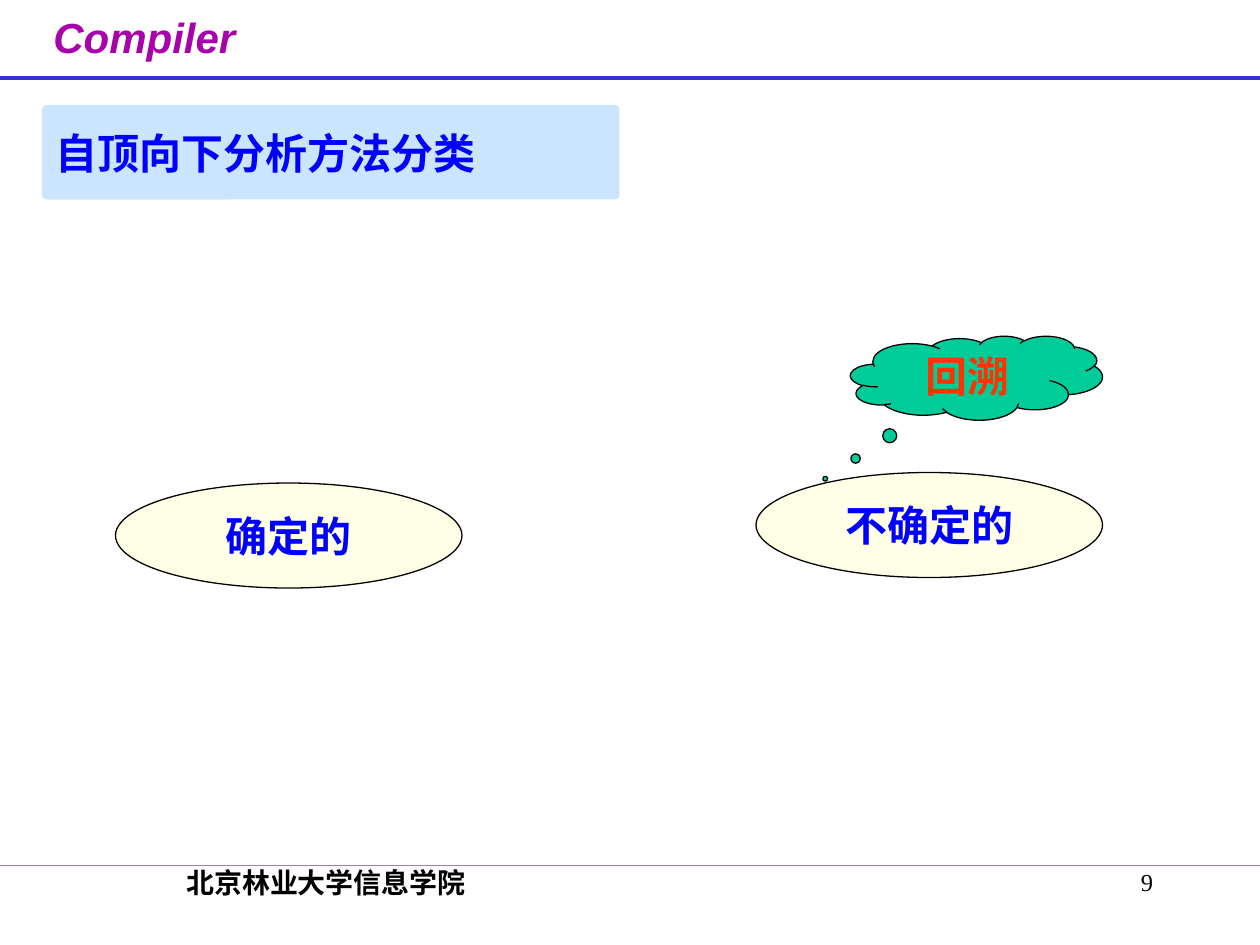
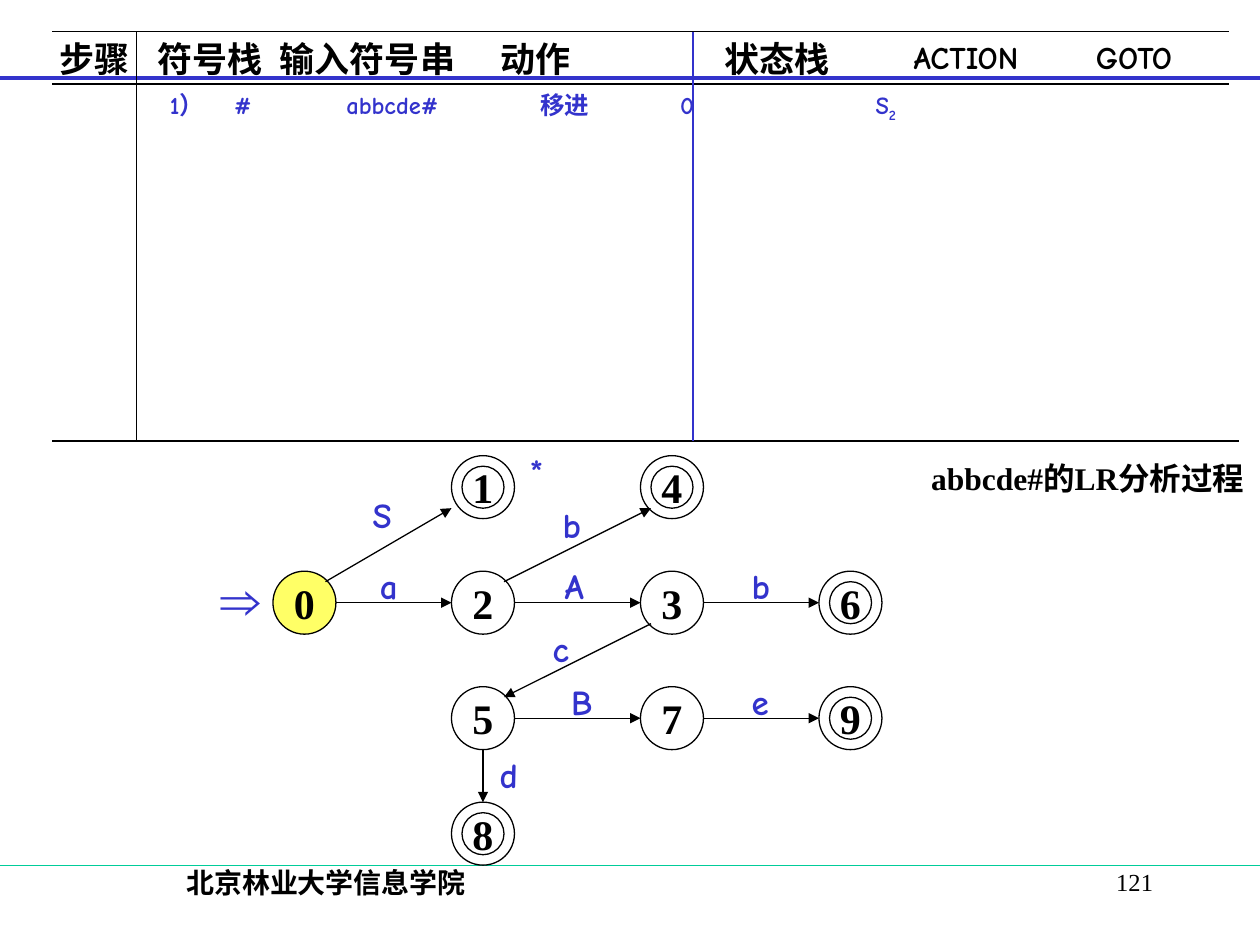
from lxml import etree
from pptx import Presentation
from pptx.dml.color import RGBColor
from pptx.enum.shapes import MSO_CONNECTOR, MSO_SHAPE
from pptx.enum.text import MSO_ANCHOR, PP_ALIGN
from pptx.oxml.ns import qn
from pptx.util import Inches, Pt

STRAIGHT = MSO_CONNECTOR.STRAIGHT
OVAL, ROUNDED, CLOUD = MSO_SHAPE.OVAL, MSO_SHAPE.ROUNDED_RECTANGLE, MSO_SHAPE.CLOUD_CALLOUT
TOP, MIDDLE = MSO_ANCHOR.TOP, MSO_ANCHOR.MIDDLE
LEFT, CENTER, RIGHT = PP_ALIGN.LEFT, PP_ALIGN.CENTER, PP_ALIGN.RIGHT

SERIF, SANS, COMIC, CJK = "Times New Roman", "Arial", "Comic Neue", "Noto Sans CJK SC"
BLACK, INDIGO, GREEN, BLUE = "000000", "3333CC", "00CC99", "0000FF"
PURPLE, RED, SKY, CREAM, YELLOW = "A603AB", "FF3300", "99CCFF", "FFFFE7", "FFFF66"
rgb = RGBColor.from_string

prs = Presentation()
prs.slide_width, prs.slide_height = Inches(10), Inches(7.5)
U = prs.slide_width / 120  # grid unit: the slide is 120 columns by 90 rows


def add_text(s, box, text, fmt, kind=None, fill=None, line=None, align=CENTER, wrap=True):
    """Put text in a text box, or in a preset shape when a kind is given."""
    box = [round(v * U) for v in box]
    if kind is None:
        sp = s.shapes.add_textbox(*box)
    else:
        sp = s.shapes.add_shape(kind, *box)
        sp.shadow.inherit = False
        if fill:
            sp.fill.solid()
            sp.fill.fore_color.rgb = rgb(fill)
        else:
            sp.fill.background()
        if line:
            sp.line.color.rgb, sp.line.width = rgb(line), Pt(0.75)
        else:
            sp.line.fill.background()
    tf = sp.text_frame
    tf.word_wrap = wrap
    tf.vertical_anchor = MIDDLE if kind else TOP
    p = tf.paragraphs[0]
    p.alignment = align
    if text:
        r = p.add_run()
        r.text = text
        for name, value in fmt.items():
            if name == "color":
                r.font.color.rgb = rgb(value)
            else:
                setattr(r.font, name, value)
        etree.SubElement(r._r.get_or_add_rPr(), qn("a:ea"), typeface=CJK)
    return sp


def add_line(s, x1, y1, x2, y2, color=BLACK, width=0.75, arrow=False):
    c = s.shapes.add_connector(STRAIGHT, *[round(v * U) for v in (x1, y1, x2, y2)])
    c.line.color.rgb, c.line.width = rgb(color), Pt(width)
    if arrow:
        etree.SubElement(c.line._get_or_add_ln(), qn("a:tailEnd"), type="triangle")
    etree.SubElement(c._element.spPr, qn("a:effectLst"))


# Text formats
footer = dict(name=SERIF, size=Pt(16), bold=True, color=BLACK)
page = dict(name=SERIF, size=Pt(14), color=BLACK)
brand = dict(name=SANS, size=Pt(24), bold=True, italic=True, color=PURPLE)
title = dict(name=CJK, size=Pt(24), bold=True, color=BLUE)
method = dict(title, name=SERIF)
state = dict(method, color=BLACK)
head = dict(state, size=Pt(20))
caption = dict(head, size=Pt(18))
symbol_head = dict(caption, name=COMIC)
edge = dict(name=COMIC, size=Pt(20), bold=True, color=INDIGO)
step = dict(edge, size=Pt(14))
start = dict(edge, name=SANS, size=Pt(32))

# Shared rules, footer and page number
slides = []
for number in ("9", "121"):
    s = prs.slides.add_slide(prs.slide_layouts[6])
    add_line(s, 0, 7.4, 120, 7.4, INDIGO, 2.25)
    add_line(s, 0, 82.4, 120, 82.4, GREEN)
    add_text(s, (6.2, 81.8, 49.7, 6), "北京林业大学信息学院", footer)
    add_text(s, (86, 82, 25, 6), number, page, align=RIGHT)
    slides.append(s)
methods, parsing = slides

# Slide 1: kinds of top-down analysis
s = methods
add_text(s, (2.3, 0.5, 22.9, 7.4), "Compiler", brand, wrap=False)
sp = add_text(s, (4, 10, 55, 9), "自顶向下分析方法分类", title, ROUNDED, SKY, align=LEFT)
sp.adjustments[0] = 0.05
sky = sp._element.spPr.find(qn("a:solidFill"))[0]
etree.SubElement(sky, qn("a:alpha"), val="50000")
for x, y, text in ((11, 46, "确定的"), (72, 45, "不确定的")):
    add_text(s, (x, y, 33, 10), text, method, OVAL, CREAM, BLACK, wrap=False)
sp = add_text(s, (81, 32, 24, 8), "回溯", dict(method, color=RED), CLOUD, GREEN, BLACK)
sp.adjustments[0], sp.adjustments[1] = -0.6, 1.2

# Slide 2: ruled step table
s = parsing
for y, right in ((3, 117), (8, 117), (42, 118)):
    add_line(s, 5, y, right, y)
for x, color in ((13, BLACK), (66, INDIGO)):
    add_line(s, x, 3, x, 42, color)
for x, width, text, fmt in (
    (4, 10, "步骤", head), (13, 14, "符号栈", head), (25, 20, "输入符号串", head),
    (46, 10, "动作", head), (67, 14, "状态栈", head),
    (84, 16, "ACTION", symbol_head), (101, 14, "GOTO", symbol_head),
):
    add_text(s, (x, 3, width, 5.2), text, fmt)

# First step, set on tab stops
sp = add_text(s, (15, 8, 76.5, 4.4), "1）\t#\tabbcde#\t移进\t0\tS", step, align=LEFT)
p = sp.text_frame.paragraphs[0]
tabs = etree.SubElement(p._p.get_or_add_pPr(), qn("a:tabLst"))
for stop in (0.51, 1.4, 2.94, 4.05, 5.6):
    etree.SubElement(tabs, qn("a:tab"), pos=str(Inches(stop)), algn="l")
r = p.add_run()
r.text = "2"
r.font.name, r.font.size, r.font.bold = COMIC, Pt(14), True
r.font.color.rgb = rgb(INDIGO)
r._r.get_or_add_rPr().set("baseline", "-25000")

# Automaton states on a grid of columns and rows
cols = (26, 43, 61, 78)
rows = [43.4 + 11 * i for i in range(4)]
places = {"0": (0, 1), "1": (1, 0), "4": (2, 0), "2": (1, 1), "3": (2, 1),
          "5": (1, 2), "7": (2, 2), "6": (3, 1), "9": (3, 2), "8": (1, 3)}
nodes = {name: (cols[c], rows[i]) for name, (c, i) in places.items()}
for name, (x, y) in nodes.items():
    fill = YELLOW if name == "0" else None
    add_text(s, (x, y, 6, 6), name, state, OVAL, fill, BLACK, wrap=False)
    if name in "14689":  # accepting states have an inner ring
        add_text(s, (x + 1, y + 1, 4, 4), "", {}, OVAL, None, BLACK)

# Transitions: ports are offsets inside a state's 6 by 6 cell
W_, E_, N_, S_, NE, SW, LOW_W = (0, 3), (6, 3), (3, 0), (3, 6), (5, 1), (1, 5), (0, 5)
for a, out, b, into, label, lx, ly in (
    ("0", NE, "1", LOW_W, "S", 34.3, 46.4), ("0", E_, "2", W_, "a", 35, 53.2),
    ("2", NE, "4", SW, "b", 52.4, 47.4), ("2", E_, "3", W_, "A", 52.6, 53.2),
    ("3", E_, "6", W_, "b", 70.4, 53.2), ("3", SW, "5", NE, "c", 51.4, 59.2),
    ("5", E_, "7", W_, "B", 53.2, 64.2), ("7", E_, "9", W_, "e", 70.4, 64.2),
    ("5", S_, "8", N_, "d", 46.4, 71.2),
):
    (ax, ay), (bx, by) = nodes[a], nodes[b]
    add_line(s, ax + out[0], ay + out[1], bx + into[0], by + into[1], arrow=True)
    add_text(s, (lx, ly, 4, 5.3), label, edge, wrap=False)

# Start mark, accept mark and caption
add_text(s, (19.6, 53.2, 6.6, 7.7), "⇒", start, wrap=False)
add_text(s, (49.3, 42.2, 3.6, 5.3), "*", edge, wrap=False)
add_text(s, (87.2, 43.1, 32.8, 8.4), "abbcde#的LR分析过程", caption)

prs.save("out.pptx")
